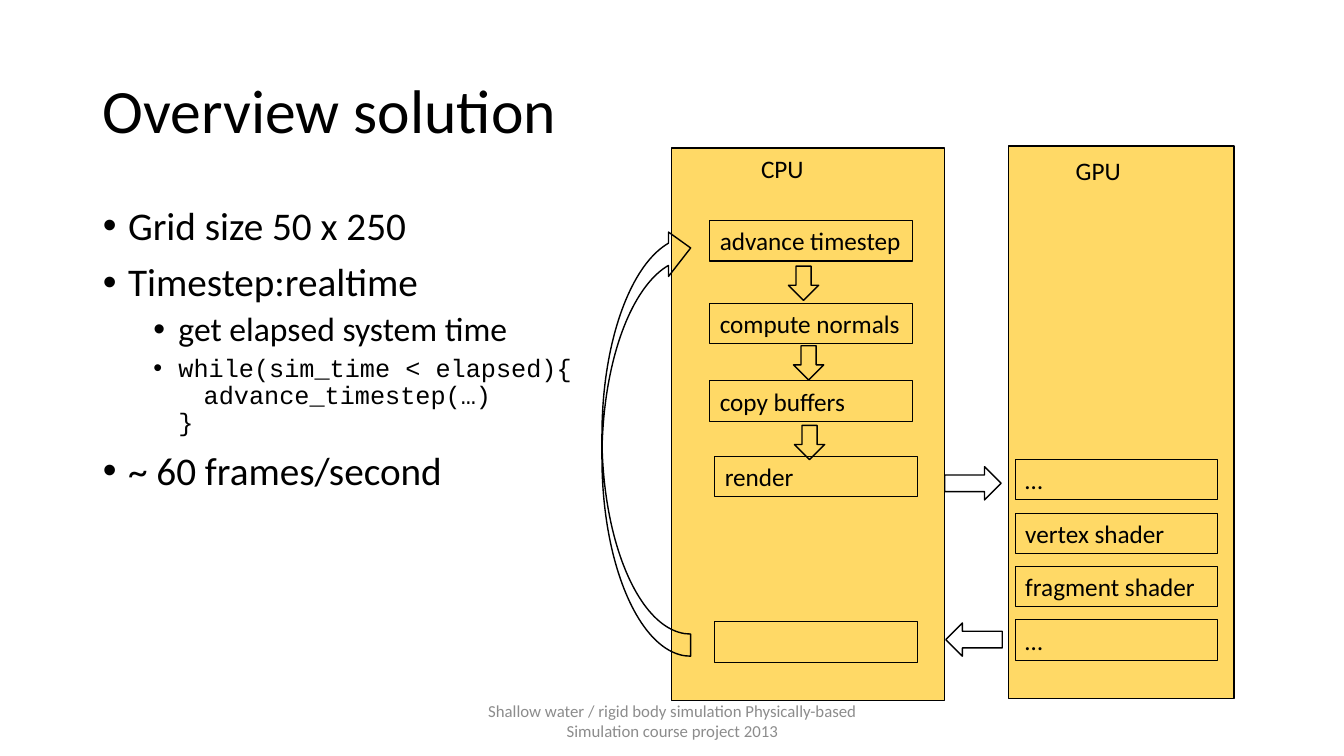
import pptx
import pptx.util
import pptx.dml.color
import pptx.enum.shapes
import pptx.enum.text
import pptx.oxml
import pptx.oxml.ns

Inches, Pt = pptx.util.Inches, pptx.util.Pt
SHAPE = pptx.enum.shapes.MSO_SHAPE
ALIGN = pptx.enum.text.PP_ALIGN
ANCHOR = pptx.enum.text.MSO_ANCHOR
COLORS = {"text": "000000", "line": "000000", "panel": "FFD966", "footer": "8C8C8C"}
STEP_W, STEP_H = 2.01, 0.4


def rgb(name):
    return pptx.dml.color.RGBColor.from_string(COLORS[name])


def place(sp, box):
    sp.left, sp.top, sp.width, sp.height = map(Inches, box)


def style(p, size, font="Calibri", color="text", align=ALIGN.LEFT):
    p.alignment = align
    for r in p.runs:
        r.font.size = Pt(size)
        r.font.name = font
        r.font.color.rgb = rgb(color)


def add_outline(slide, kind, box, fill=None, width=1.0, rotation=0):
    sp = slide.shapes.add_shape(kind, *map(Inches, box))
    sp.shadow.inherit = False
    sp.rotation = rotation
    if fill:
        sp.fill.solid()
        sp.fill.fore_color.rgb = rgb(fill)
    else:
        sp.fill.background()
    sp.line.color.rgb = rgb("line")
    sp.line.width = Pt(width)
    return sp


def add_label(slide, box, text, size=18, color="text", align=ALIGN.LEFT, anchor=ANCHOR.TOP):
    tf = slide.shapes.add_textbox(*map(Inches, box)).text_frame
    tf.word_wrap = True
    tf.vertical_anchor = anchor
    tf.text = text
    style(tf.paragraphs[0], size, color=color, align=align)


def add_step(slide, x, y, text=""):
    sp = add_outline(slide, SHAPE.RECTANGLE, (x, y, STEP_W, STEP_H), width=0.75)
    if text:
        sp.text_frame.word_wrap = True
        sp.text_frame.vertical_anchor = ANCHOR.TOP
        sp.text_frame.text = text
        style(sp.text_frame.paragraphs[0], 18)


def add_title(slide, box):
    sp = slide.shapes.title
    place(sp, box)
    tf = sp.text_frame
    tf.text = "Overview solution"
    tf.vertical_anchor = ANCHOR.MIDDLE
    tf.paragraphs[0].line_spacing = 0.9
    style(tf.paragraphs[0], 44)


def set_bullet(p, indent):
    pPr = p._p.get_or_add_pPr()
    pPr.set("marL", str(Inches(indent)))
    pPr.set("indent", str(Inches(-0.25)))
    ns = pptx.oxml.ns.nsdecls("a")
    pPr.append(pptx.oxml.parse_xml(f'<a:buFont {ns} typeface="Arial"/>'))
    pPr.append(pptx.oxml.parse_xml(f'<a:buChar {ns} char="•"/>'))


def add_bullets(slide, box):
    items = [
        (0, "Grid size 50 x 250", 28, "Calibri"),
        (0, "Timestep:realtime", 28, "Calibri"),
        (1, "get elapsed system time", 24, "Calibri"),
        (1, "while(sim_time < elapsed){\n\tadvance_timestep(…)\n}", 18, "Courier New"),
        (0, "~ 60 frames/second", 28, "Calibri"),
    ]
    sp = slide.placeholders[1]
    place(sp, box)
    tf = sp.text_frame
    tf.auto_size = pptx.enum.text.MSO_AUTO_SIZE.NONE
    for i, (level, text, size, font) in enumerate(items):
        p = tf.add_paragraph() if i else tf.paragraphs[0]
        p.text = text
        p.level = level
        p.line_spacing = 0.9
        p.space_before = Pt(5 if level else 10)
        style(p, size, font)
        set_bullet(p, 0.75 if level else 0.25)


def add_cpu(slide, x, y, w, h):
    add_outline(slide, SHAPE.RECTANGLE, (x, y, w, h), "panel")
    add_label(slide, (x + 0.79, y, 0.93, 0.4), "CPU")
    steps = [
        (0.38, 0.72, "advance timestep"),
        (0.38, 1.54, "compute normals"),
        (0.38, 2.31, "copy buffers"),
        (0.43, 3.06, "render"),
        (0.43, 4.7, ""),
    ]
    for dx, dy, text in steps:
        add_step(slide, x + dx, y + dy, text)
    for dx, dy in [(1.16, 1.17), (1.21, 1.96), (1.22, 2.75)]:
        add_outline(slide, SHAPE.DOWN_ARROW, (x + dx, y + dy, 0.3, 0.34))


def add_gpu(slide, x, y, w, h):
    add_outline(slide, SHAPE.RECTANGLE, (x, y, w, h), "panel")
    add_label(slide, (x + 0.57, y + 0.04, 0.93, 0.4), "GPU")
    for i, text in enumerate(["…", "vertex shader", "fragment shader", "…"]):
        add_step(slide, x + 0.07, y + 3.11 + 0.53 * i, text)


def add_flow_arrows(slide):
    """Arrows between the two panels and the loop back to the first step."""
    add_outline(slide, SHAPE.RIGHT_ARROW, (9.37, 4.63, 0.56, 0.33))
    add_outline(slide, SHAPE.RIGHT_ARROW, (9.38, 6.18, 0.56, 0.33), rotation=180)
    add_outline(slide, SHAPE.CURVED_LEFT_ARROW, (5.97, 2.24, 0.88, 4.27), rotation=180)


def main():
    prs = pptx.Presentation()
    prs.slide_width, prs.slide_height = Inches(13.33), Inches(7.5)
    slide = prs.slides.add_slide(prs.slide_layouts[1])
    add_title(slide, (0.92, 0.4, 11.5, 1.45))
    add_bullets(slide, (0.92, 2, 4.86, 4.76))
    add_gpu(slide, 10, 1.45, 2.24, 5.48)
    add_cpu(slide, 6.66, 1.47, 2.71, 5.48)
    add_flow_arrows(slide)
    add_label(slide, (4.42, 6.95, 4.5, 0.4),
              "Shallow water / rigid body simulation Physically-based Simulation course project 2013",
              12, "footer", ALIGN.CENTER, ANCHOR.MIDDLE)
    prs.save("out.pptx")


if __name__ == "__main__":
    main()
